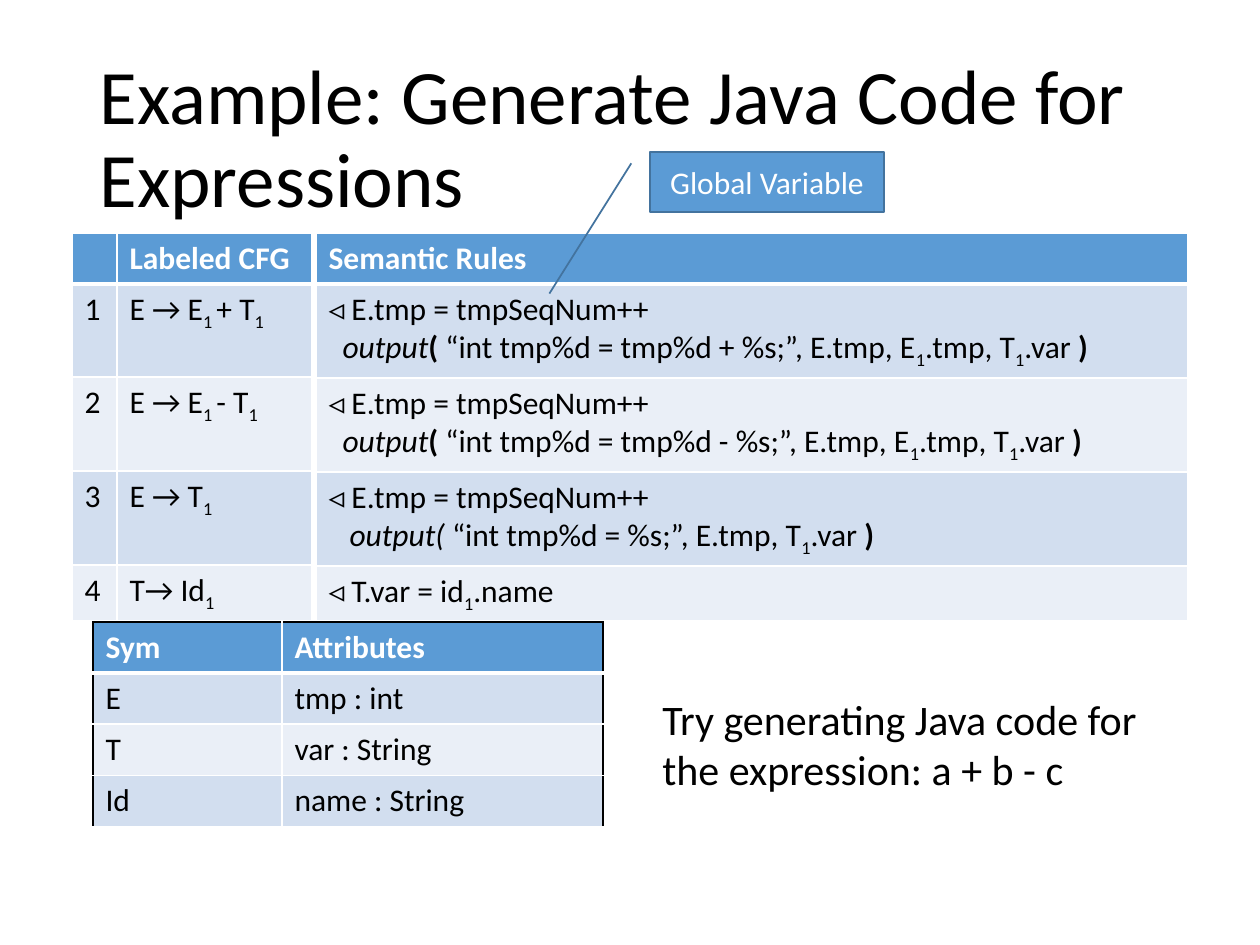
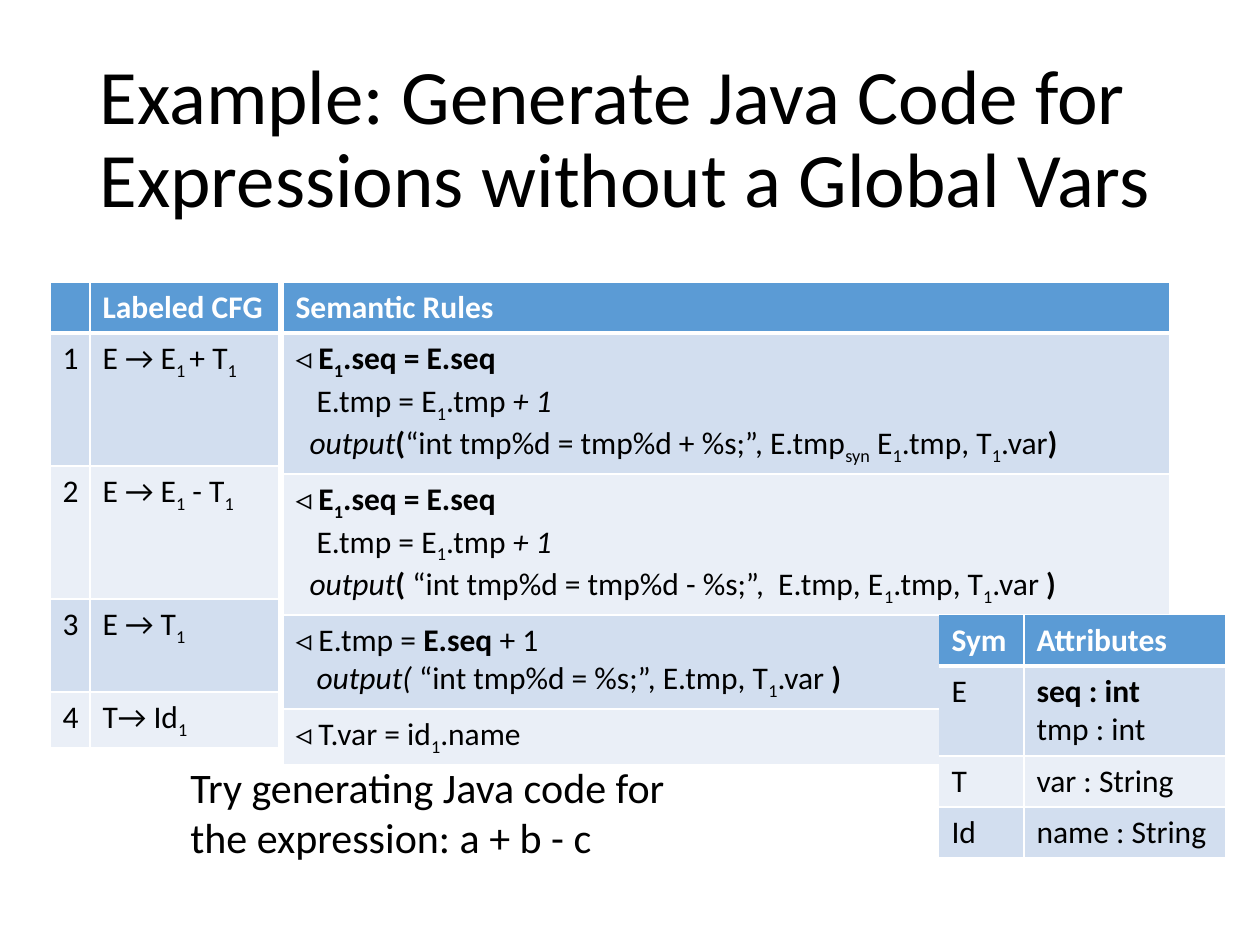
from itertools import groupby

from lxml.etree import SubElement
from pptx import Presentation
from pptx.dml.color import RGBColor
from pptx.enum.shapes import MSO_SHAPE as Preset
from pptx.enum.text import MSO_ANCHOR as Anchor, MSO_AUTO_SIZE as AutoSize, PP_ALIGN as Align
from pptx.oxml import parse_xml
from pptx.oxml.ns import nsdecls, qn
from pptx.util import Pt

PX = 914400 // 126
FONT = "Calibri"
COLORS = {
    "text": "000000", "white": "FFFFFF", "header": "5B9BD5",
    "odd": "D2DEEF", "even": "EAEFF7", "outline": "43739E",
}
TITLE_BOX = (87, 50, 1086, 183)
SPACE = 7  # width of one leading ">" in px
HEADER_ROW = 51

# Content: _ toggles subscript, * bold, / italic; leading > indents a line
TRY_IT = "Try generating Java code for the expression: a + b - c"
NEXT_TMP = "◃ E.tmp = tmpSeqNum++\n"
PASS_SEQ = "◃ *E_1_.seq = E.seq*\n>>>E.tmp = E_1_.tmp /+ 1/\n"
COPY_RULE = ">>>/output( /“int tmp%d = %s;”, E.tmp, T_1_.var *)*"
NAME_RULE = "◃ T.var = id_1_.name"
PLUS = "E → E_1 _+ T_1_"


def grammar(minus):
    productions = [PLUS, minus, "E → T_1_", "T→ Id_1_"]
    return [("", "Labeled CFG")] + [(str(n), p) for n, p in enumerate(productions, 1)]


def rules(*bodies):
    return [(body,) for body in ("Semantic Rules", *bodies, NAME_RULE)]


def symbols(e_attributes):
    return [("Sym", "Attributes"), ("E", e_attributes),
            ("T", "var : String"), ("Id", "name : String")]


SLIDES = [
    {
        "title": "Example: Generate Java Code for Expressions",
        "tables": [
            {"at": (72, 233), "cols": [45, 195], "rows": [93, 94, 94, 55],
             "edge": "white", "cells": grammar("E → E_1 _- T_1_")},
            {"at": (316, 233), "cols": [872], "rows": [93, 94, 94, 55], "edge": "white",
             "cells": rules(
                 NEXT_TMP + ">>/output/*(* “int tmp%d = tmp%d + %s;”, E.tmp, E_1_.tmp, T_1_.var *)*",
                 NEXT_TMP + ">>/output/*(* “int tmp%d = tmp%d - %s;”, E.tmp, E_1_.tmp, T_1_.var *)*",
                 NEXT_TMP + COPY_RULE)},
            {"at": (93, 622), "cols": [189, 321], "rows": [51, 51, 51],
             "edge": "text", "cells": symbols("tmp : int")},
        ],
        "exercise": (650, 687, 538, 115),
        "callout": ("Global Variable", (650, 152, 234, 60), (0.19, -0.08, 2.36, -0.43)),
    },
    {
        "title": "Example: Generate Java Code for Expressions without a Global Vars",
        "tables": [
            {"at": (50, 282), "cols": [40, 189], "rows": [133, 133, 93, 55],
             "edge": "white", "cells": grammar("E → E_1_ - T_1_")},
            {"at": (283, 282), "cols": [887], "rows": [141, 141, 94, 55], "edge": "white",
             "cells": rules(
                 PASS_SEQ + ">>/output/*(*“int tmp%d = tmp%d + %s;”, E.tmp_syn_ E_1_.tmp, T_1_.var*)*",
                 PASS_SEQ + ">>/output/*(* “int tmp%d = tmp%d - %s;”,  E.tmp, E_1_.tmp, T_1_.var *)*",
                 "◃ E.tmp = *E.seq* + 1\n" + COPY_RULE)},
            {"at": (939, 615), "cols": [85, 201], "rows": [90, 51, 51],
             "edge": None, "cells": symbols("*seq : int*\ntmp : int")},
        ],
        "exercise": (178, 755, 514, 115),
    },
]


def rgb(name):
    return RGBColor.from_string(COLORS[name])


def emu(lengths):
    return [length * PX for length in lengths]


def style(paragraph, size, color, bold=None):
    font = paragraph.font
    font.name, font.size, font.bold = FONT, Pt(size), bold
    font.color.rgb = rgb(color)


# Rich text
def styled_letters(line):
    on = {"_": False, "*": False, "/": False}
    for letter in line:
        if letter in on:
            on[letter] = not on[letter]
        else:
            yield letter, tuple(on.values())


def write_rich(frame, markup, color, bold):
    for i, line in enumerate(markup.split("\n")):
        paragraph = frame.add_paragraph() if i else frame.paragraphs[0]
        style(paragraph, 18, color, bold)
        body = line.lstrip(">")
        indent = len(line) - len(body)
        if indent:
            props = paragraph._p.get_or_add_pPr()
            props.set("marL", str(indent * SPACE * PX))
            props.set("indent", "0")
        for (sub, strong, slanted), letters in groupby(styled_letters(body), lambda pair: pair[1]):
            run = paragraph.add_run()
            run.text = "".join(letter for letter, _ in letters)
            run.font.bold = bold or strong
            run.font.italic = slanted
            if sub:
                run._r.get_or_add_rPr().set("baseline", "-25000")


# Tables
def set_borders(cell, borders):
    props = cell._tc.get_or_add_tcPr()
    for i, side in enumerate("LRTB"):
        color, width = borders[side]
        line = parse_xml(f'<a:ln{side} {nsdecls("a")} w="{Pt(width)}"/>')
        if color:
            fill = SubElement(line, qn("a:solidFill"))
            SubElement(fill, qn("a:srgbClr")).set("val", COLORS[color])
        else:
            SubElement(line, qn("a:noFill"))
        props.insert(i, line)


def add_grid(slide, at, cols, rows, edge, cells):
    heights = [HEADER_ROW] + rows
    box = emu((*at, sum(cols), sum(heights)))
    table = slide.shapes.add_table(len(heights), len(cols), *box).table
    for column, width in zip(table.columns, emu(cols)):
        column.width = width
    for row, height in zip(table.rows, emu(heights)):
        row.height = height
    for r, texts in enumerate(cells):
        for c, markup in enumerate(texts):
            cell = table.cell(r, c)
            header = r == 0
            cell.fill.solid()
            cell.fill.fore_color.rgb = rgb("header" if header else "odd" if r % 2 else "even")
            write_rich(cell.text_frame, markup, "white" if header else "text", header)
            set_borders(cell, {
                "L": ("white" if c else edge, 1),
                "R": ("white" if c < len(cols) - 1 else edge, 1),
                "T": (edge, 1) if header else ("white", 3 if r == 1 else 1),
                "B": ("white", 3 if header else 1),
            })


# Other parts
def set_title(slide, text):
    title = slide.shapes.title
    title.left, title.top, title.width, title.height = emu(TITLE_BOX)
    frame = title.text_frame
    frame.text = text
    frame.auto_size = AutoSize.NONE
    frame.vertical_anchor = Anchor.MIDDLE
    paragraph = frame.paragraphs[0]
    paragraph.alignment = Align.LEFT
    paragraph.line_spacing = 0.9
    style(paragraph, 44, "text")


def add_exercise(slide, box):
    frame = slide.shapes.add_textbox(*emu(box)).text_frame
    frame.word_wrap = True
    frame.auto_size = AutoSize.SHAPE_TO_FIT_TEXT
    frame.text = TRY_IT
    style(frame.paragraphs[0], 24, "text")


def add_callout(slide, text, box, pointer):
    callout = slide.shapes.add_shape(Preset.LINE_CALLOUT_1, *emu(box))
    for i, value in enumerate(pointer):
        callout.adjustments[i] = value
    callout.shadow.inherit = False
    callout.fill.solid()
    callout.fill.fore_color.rgb = rgb("header")
    callout.line.color.rgb = rgb("outline")
    callout.line.width = Pt(1)
    frame = callout.text_frame
    frame.text = text
    frame.vertical_anchor = Anchor.MIDDLE
    frame.paragraphs[0].alignment = Align.CENTER
    style(frame.paragraphs[0], 18, "white")


def main():
    deck = Presentation()
    deck.slide_width, deck.slide_height = emu((1260, 945))
    title_only = deck.slide_layouts[5]
    for content in SLIDES:
        slide = deck.slides.add_slide(title_only)
        set_title(slide, content["title"])
        for table in content["tables"]:
            add_grid(slide, **table)
        add_exercise(slide, content["exercise"])
        if "callout" in content:
            add_callout(slide, *content["callout"])
    deck.save("out.pptx")


if __name__ == "__main__":
    main()
